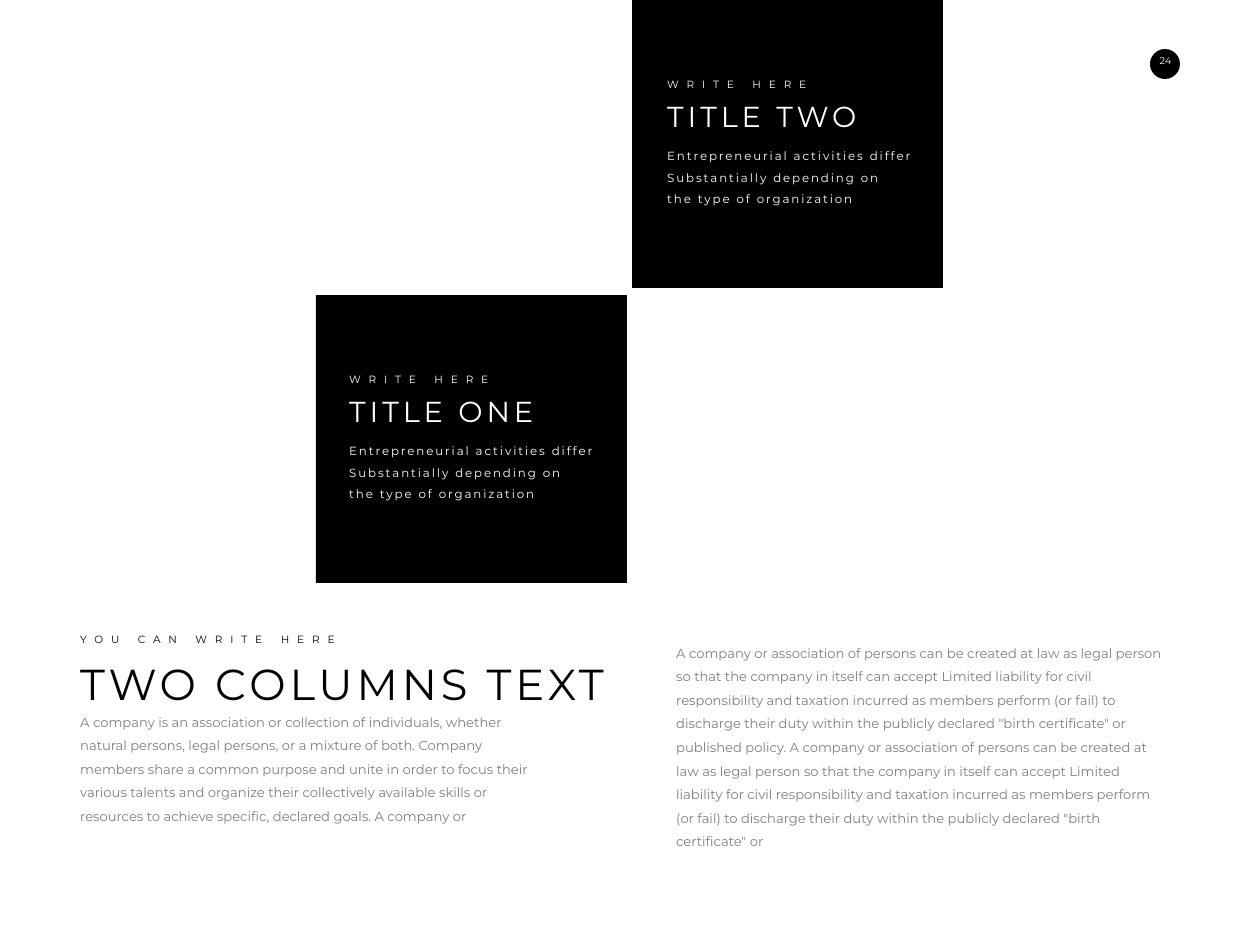
"""Build a slide with two black title cards above a two-column text."""
import pptx
import pptx.dml.color
import pptx.enum.shapes
import pptx.enum.text
import pptx.util

PX = 914400 / 63
BLACK, WHITE, GREY = "000000", "FFFFFF", "7F7F7F"
CARD_SIZE = (311, 288)
CARD_EYEBROW = "WRITE HERE"
CARD_LINES = [
    "Entrepreneurial activities differ",
    "Substantially depending on",
    "the type of organization",
]
CARDS = [
    {"title": "TITLE TWO", "corner": (632, 0), "indent": 29, "title_width": 204},
    {"title": "TITLE ONE", "corner": (316, 295), "indent": 27, "title_width": 199},
]
EYEBROW = "YOU CAN WRITE HERE"
HEADING = "TWO COLUMNS TEXT"
LEFT_COLUMN = (
    "A company is an association or collection of individuals, whether natural persons, "
    "legal persons, or a mixture of both. Company members share a common purpose and unite "
    "in order to focus their various talents and organize their collectively available "
    "skills or resources to achieve specific, declared goals. A company or"
)
DUTY = (
    "A company or association of persons can be created at law as legal person so that the "
    "company in itself can accept Limited liability for civil responsibility and taxation "
    "incurred as members perform (or fail) to discharge their duty within the publicly "
    'declared "birth certificate" or'
)
RIGHT_COLUMN = f"{DUTY} published policy. {DUTY}"
PAGE_NUMBER = "24"

KINDS = pptx.enum.shapes.MSO_SHAPE
ALIGN = pptx.enum.text.PP_ALIGN


def px(length):
    return pptx.util.Emu(round(length * PX))


def rgb(code):
    return pptx.dml.color.RGBColor.from_string(code)


def add_block(kind, left, top, width, height):
    block = slide.shapes.add_shape(kind, px(left), px(top), px(width), px(height))
    block.shadow.inherit = False
    block.fill.solid()
    block.fill.fore_color.rgb = rgb(BLACK)
    block.line.fill.background()


def add_text(text, left, top, width, height, size=15, color=BLACK, spacing=0,
             leading=None, wrap=True, align=None):
    box = slide.shapes.add_textbox(px(left), px(top), px(width), px(height))
    frame = box.text_frame
    frame.word_wrap = wrap
    frame.auto_size = pptx.enum.text.MSO_AUTO_SIZE.SHAPE_TO_FIT_TEXT
    frame.text = text
    for paragraph in frame.paragraphs:
        paragraph.line_spacing = leading
        paragraph.alignment = align
        for run in paragraph.runs:
            run.font.name = "Montserrat"
            run.font.size = pptx.util.Pt(size)
            run.font.color.rgb = rgb(color)
            if spacing:
                run.font._element.set("spc", str(round(spacing * 100)))


deck = pptx.Presentation()
deck.slide_width, deck.slide_height = px(1260), px(945)
slide = deck.slides.add_slide(deck.slide_layouts[6])

add_block(KINDS.OVAL, 1150, 49, 30, 30)
add_text(PAGE_NUMBER, 1147, 52, 37, 21, size=11, color=WHITE, wrap=False, align=ALIGN.CENTER)

for card in CARDS:
    left, top = card["corner"]
    text_left = left + card["indent"]
    add_block(KINDS.RECTANGLE, left, top, *CARD_SIZE)
    add_text(card["title"], text_left, top + 96, card["title_width"], 42,
             size=33, color=WHITE, spacing=4.5, wrap=False)
    add_text(CARD_EYEBROW, text_left, top + 75, 160, 19,
             size=12, color=WHITE, spacing=9, wrap=False)
    add_text("\n".join(CARD_LINES), text_left, top + 139, 263, 71,
             size=13.5, color=WHITE, spacing=2.2, leading=1.5)

add_text(HEADING, 74, 654, 554, 59, size=49.5, spacing=4.5)
add_text(EYEBROW, 74, 630, 276, 19, size=12, spacing=9, wrap=False)
add_text(LEFT_COLUMN, 74, 703, 476, 125, color=GREY, leading=1.5)
add_text(RIGHT_COLUMN, 670, 634, 502, 197, color=GREY, leading=1.5)

deck.save("out.pptx")
